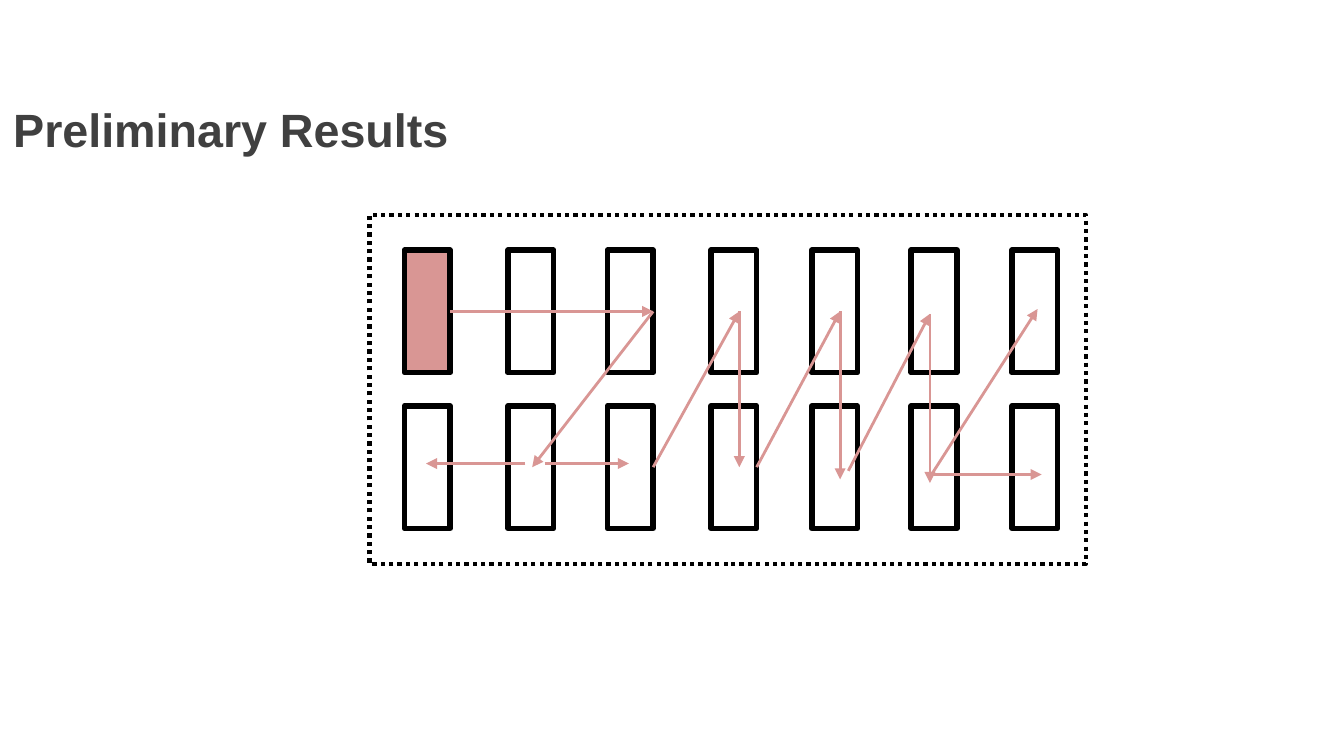
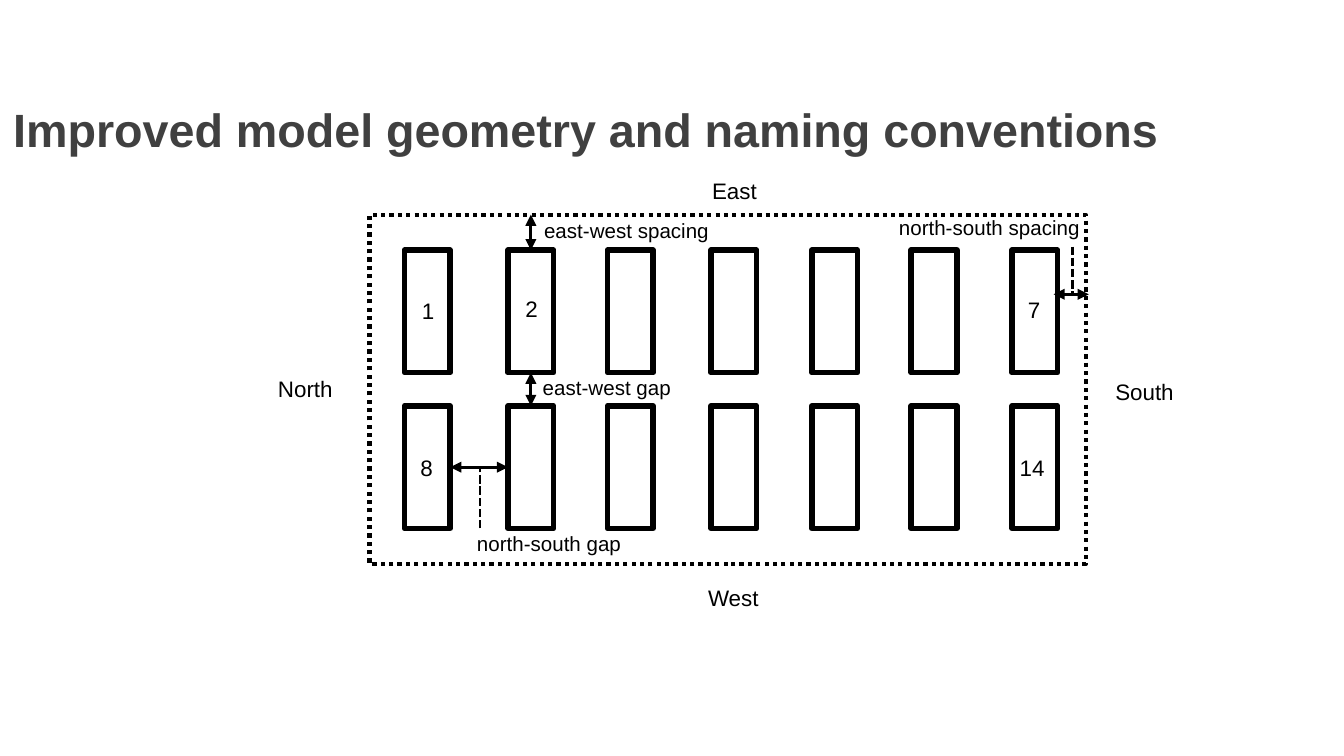
from itertools import product

from lxml import etree
from pptx import Presentation
from pptx.dml.color import RGBColor
from pptx.enum.dml import MSO_LINE_DASH_STYLE as DASH
from pptx.enum.shapes import MSO_CONNECTOR, MSO_SHAPE
from pptx.enum.text import MSO_ANCHOR, MSO_AUTO_SIZE
from pptx.oxml.ns import qn
from pptx.util import Inches, Pt

SLIDE_W = Inches(10)
SLIDE_H = SLIDE_W * 9 // 16
FONT = "Arial"
COLORS = {"title": "404040", "ink": "000000", "paper": "FFFFFF", "rose": "D99694"}

# Places and sizes are percentages of the slide's width and height.
BOUNDARY = (27.5, 28.4, 53.3, 46.2)
BOX_LEFTS = (30.1, 37.8, 45.2, 52.9, 60.4, 67.8, 75.3)
BOX_TOPS = (33.1, 53.7)
BOX_W, BOX_H = 3.4, 16.2
UNFILLED = {(1, 0), (3, 0)}
SIDES = {(0.5, 0): 0, (0, 0.5): 1, (0.5, 1): 2, (1, 0.5): 3}

# Line ends: column, row, then share of that box's width and height.
SPREAD = [
    ((0, 0, 1, 0.5), (2, 0, 1, 0.5)),
    ((2, 0, 1, 0.5), (1, 1, 0.53, 0.5)),
    ((1, 1, 0.38, 0.47), (0, 1, 0.47, 0.47)),
    ((1, 1, 0.8, 0.47), (2, 1, 0.47, 0.47)),
    ((2, 1, 1, 0.5), (3, 0, 0.62, 0.5)),
    ((3, 0, 0.62, 0.5), (3, 1, 0.62, 0.5)),
    ((3, 1, 1, 0.5), (4, 0, 0.62, 0.5)),
    ((4, 0, 0.62, 0.5), (4, 1, 0.62, 0.6)),
    ((4, 1, 0.8, 0.53), (5, 0, 0.41, 0.52)),
    ((5, 0, 0.41, 0.52), (5, 1, 0.41, 0.63)),
    ((5, 1, 0.41, 0.56), (6, 1, 0.65, 0.56)),
    ((5, 1, 0.41, 0.58), (6, 0, 0.56, 0.48)),
]
DIMENSIONS = [
    ((1, 1, 0, 0.5), (0, 1, 1, 0.5)),
    ((1, 1, 0.5, 0), (1, 0, 0.5, 1)),
    ((1, 0, 0.5, 0), (1, 0, 0.5, -0.29)),
    ((6, 0, 1.68, 0.36), (6, 0, 0.91, 0.36)),
]
LEADERS = [
    ((0, 1, 1.65, 1), (0, 1, 1.65, 0.5)),
    ((6, 0, 1.32, -0.03), (6, 0, 1.32, 0.36)),
]
COMPASS = [
    ("North", 19.7, 48.7, 6.3),
    ("South", 82, 49.1, 7.6),
    ("East", 52, 22.6, 7.6),
    ("West", 51.7, 76.4, 7.6),
]
DIMENSION_NAMES = [
    ("east-west gap", 39.4, 48.7, 11.6),
    ("north-south gap", 34.5, 69.3, 13.1),
    ("east-west spacing", 39.5, 27.9, 14.4),
    ("north-south spacing", 65.9, 27.6, 15.7),
]
BOX_NUMBERS = [
    ("1", (0, 0, 0.09, 0.33), 3),
    ("8", (0, 1, 0.06, 0.34), 3),
    ("14", (6, 1, -0.12, 0.34), 4.3),
    ("7", (6, 0, 0.06, 0.32), 3.4),
    ("2", (1, 0, 0.09, 0.31), 3),
]


def rgb(name):
    return RGBColor.from_string(COLORS[name])


def emu(x, y):
    return round(SLIDE_W * x / 100), round(SLIDE_H * y / 100)


def spot(col, row, fx, fy):
    """Percent position of a point given relative to one box of the grid."""
    return BOX_LEFTS[col] + fx * BOX_W, BOX_TOPS[row] + fy * BOX_H


def add_text(slide, text, x, y, w, h=5.3, size=12, color="ink", bold=False,
             wrap=True, anchor=MSO_ANCHOR.TOP, fit=MSO_AUTO_SIZE.SHAPE_TO_FIT_TEXT):
    tf = slide.shapes.add_textbox(*emu(x, y), *emu(w, h)).text_frame
    tf.word_wrap = wrap
    tf.auto_size = fit
    tf.vertical_anchor = anchor
    r = tf.paragraphs[0].add_run()
    r.text = text
    r.font.name, r.font.size, r.font.bold = FONT, Pt(size), bold
    r.font.color.rgb = rgb(color)


def add_rect(slide, x, y, w, h, fill=None, weight=3, dash=None):
    sp = slide.shapes.add_shape(MSO_SHAPE.RECTANGLE, *emu(x, y), *emu(w, h))
    sp.shadow.inherit = False
    if fill:
        sp.fill.solid()
        sp.fill.fore_color.rgb = rgb(fill)
    else:
        sp.fill.background()
    sp.line.color.rgb = rgb("ink")
    sp.line.width = Pt(weight)
    if dash:
        sp.line.dash_style = dash
    return sp


def add_line(slide, boxes, start, end, color="ink", heads=(), dash=None):
    """Draw a line, joined to a box wherever an end is the middle of its side."""
    line = slide.shapes.add_connector(
        MSO_CONNECTOR.STRAIGHT, *emu(*spot(*start)), *emu(*spot(*end)))
    for point, connect in ((start, line.begin_connect), (end, line.end_connect)):
        if point[2:] in SIDES:
            connect(boxes[point[:2]], SIDES[point[2:]])
    line.line.color.rgb = rgb(color)
    line.line.width = Pt(1.5)
    if dash:
        line.line.dash_style = dash
    ln = line.line._get_or_add_ln()
    for head in heads:
        etree.SubElement(ln, qn(f"a:{head}"), type="triangle")
    etree.SubElement(line._element.spPr, qn("a:effectLst"))


def add_layout(prs, title, marked=()):
    """Add a slide with its title, boundary and grid of boxes."""
    slide = prs.slides.add_slide(prs.slide_layouts[6])
    add_text(slide, title, 0, 8.7, 97.2, 16.7, 25, "title", True,
             anchor=MSO_ANCHOR.MIDDLE, fit=MSO_AUTO_SIZE.NONE)
    add_rect(slide, *BOUNDARY, weight=2.25, dash=DASH.ROUND_DOT)
    boxes = {}
    for cell in product(range(len(BOX_LEFTS)), range(len(BOX_TOPS))):
        fill = "rose" if cell in marked else None if cell in UNFILLED else "paper"
        boxes[cell] = add_rect(slide, *spot(*cell, 0, 0), BOX_W, BOX_H, fill)
    return slide, boxes


def add_results(prs):
    slide, boxes = add_layout(prs, "Preliminary Results", marked={(0, 0)})
    for start, end in SPREAD:
        add_line(slide, boxes, start, end, "rose", ["tailEnd"])


def add_geometry(prs):
    slide, boxes = add_layout(prs, "Improved model geometry and naming conventions")
    for start, end in DIMENSIONS:
        add_line(slide, boxes, start, end, heads=["headEnd", "tailEnd"])
    for start, end in LEADERS:
        add_line(slide, boxes, start, end, dash=DASH.SQUARE_DOT)
    for text, x, y, w in COMPASS:
        add_text(slide, text, x, y, w)
    for text, x, y, w in DIMENSION_NAMES:
        add_text(slide, text, x, y, w, 5.2, 11, wrap=False)
    for text, place, w in BOX_NUMBERS:
        add_text(slide, text, *spot(*place), w)


def main():
    prs = Presentation()
    prs.slide_width, prs.slide_height = SLIDE_W, SLIDE_H
    add_results(prs)
    add_geometry(prs)
    prs.save("out.pptx")


if __name__ == "__main__":
    main()
